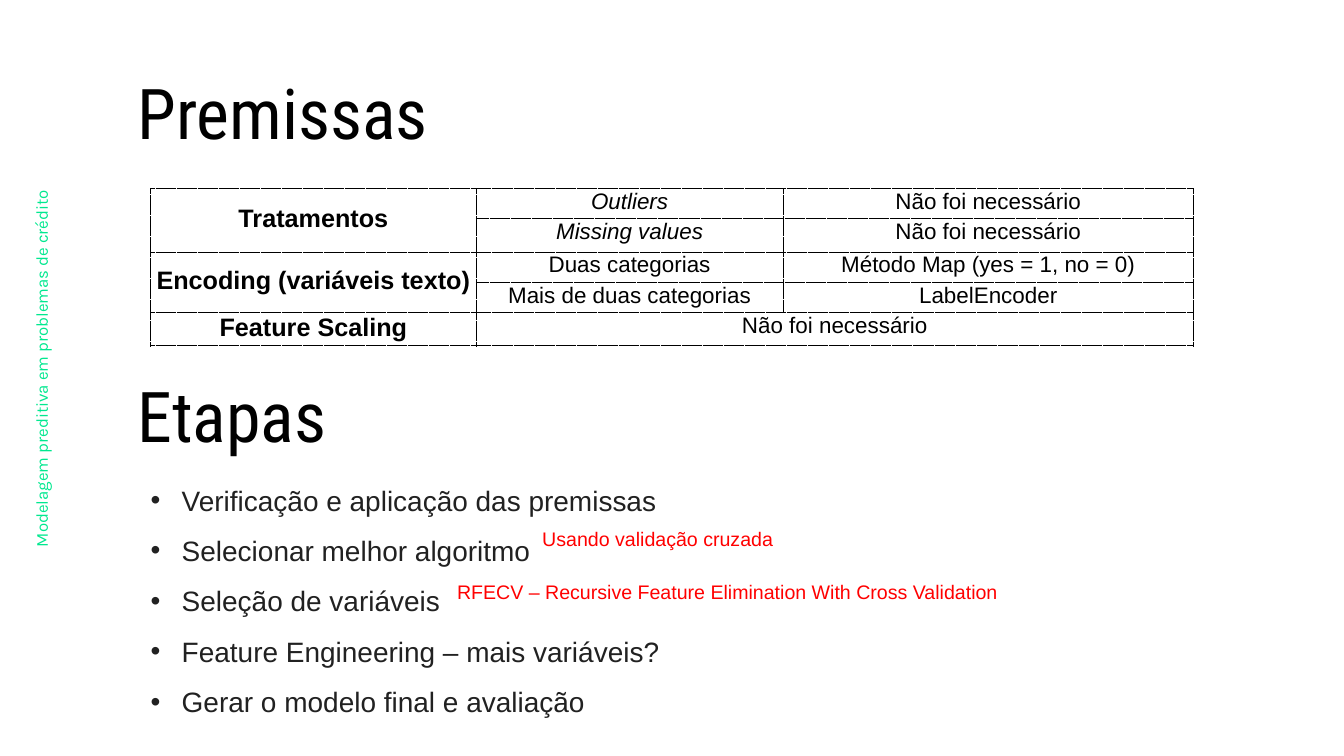
import pptx
import pptx.util
import pptx.dml.color
import pptx.enum.text
from dataclasses import dataclass
from lxml import etree
from pptx.util import Cm, Pt

ALIGN = pptx.enum.text.PP_ALIGN
ANCHOR = pptx.enum.text.MSO_ANCHOR
AUTOSIZE = pptx.enum.text.MSO_AUTO_SIZE
NS = "http://schemas.openxmlformats.org/drawingml/2006/main"


@dataclass(frozen=True)
class Theme:
    heading_font: str = "Roboto Condensed"
    body_font: str = "Arial"
    side_font: str = "Karla"
    black: str = "000000"
    body: str = "212121"
    note: str = "FF0000"
    side: str = "00E88F"
    heading_size: int = 100
    step_size: int = 40
    label_size: int = 36
    cell_size: int = 32
    note_size: int = 28
    side_size: int = 24


THEME = Theme()
TIGHT = {"line_spacing": 0.9, "space_before": Pt(20), "alignment": ALIGN.LEFT}
PLAIN = {"alignment": ALIGN.LEFT}
STEP = {"line_spacing": 1.5, "space_before": Pt(0), "alignment": ALIGN.LEFT}
CELL = {**TIGHT, "alignment": ALIGN.CENTER}

COLUMN_WIDTHS = (16.41, 15.47, 20.68)
ROW_HEIGHTS = (1.47, 1.66, 1.47, 1.47, 1.66)
PREMISES = [
    ("Tratamentos", "Outliers", "Não foi necessário"),
    ("", "Missing values", "Não foi necessário"),
    ("Encoding (variáveis texto)", "Duas categorias", "Método Map (yes = 1, no = 0)"),
    ("", "Mais de duas categorias", "LabelEncoder"),
    ("Feature Scaling", "Não foi necessário", ""),
]
MERGES = [((0, 0), (1, 0)), ((2, 0), (3, 0)), ((4, 1), (4, 2))]
ITALIC_TERMS = {"Outliers", "Missing values"}
STEPS = [
    "Verificação e aplicação das premissas",
    "Selecionar melhor algoritmo",
    "Seleção de variáveis",
    "Feature Engineering – mais variáveis?",
    "Gerar o modelo final e avaliação",
]
NOTES = [
    ("Usando validação cruzada", (27.18, 26.16, 12.52, 2.08)),
    ("RFECV – Recursive Feature Elimination With Cross Validation",
     (22.89, 28.83, 33.71, 2.08)),
]


def apply(target, values):
    for name, value in values.items():
        setattr(target, name, value)


def margins(size):
    return {f"margin_{side}": Cm(size) for side in ("left", "top", "right", "bottom")}


def place(shape, box):
    apply(shape, dict(zip(("left", "top", "width", "height"), map(Cm, box))))


def write(paragraph, text, layout, color, **font):
    apply(paragraph, layout)
    run = paragraph.add_run()
    run.text = text
    apply(run.font, font)
    run.font.color.rgb = pptx.dml.color.RGBColor.from_string(color)


def format_frame(frame, inset=0, anchor=ANCHOR.TOP, auto_size=AUTOSIZE.SHAPE_TO_FIT_TEXT):
    apply(frame, {"auto_size": auto_size, "word_wrap": True,
                  "vertical_anchor": anchor, **margins(inset)})


def fill_heading(heading, text, top):
    place(heading, (6.93, top, 53.8, 3.84))
    format_frame(heading.text_frame)
    write(heading.text_frame.paragraphs[0], text, TIGHT, THEME.black,
          name=THEME.heading_font, size=Pt(THEME.heading_size))


def add_label(slide, box):
    label = slide.shapes.add_textbox(*map(Cm, box))
    return label, label.text_frame


def add_side_title(slide, text):
    side_title, frame = add_label(slide, (-7.57, 16.99, 19.28, 1.88))
    side_title.rotation = 270
    format_frame(frame, anchor=ANCHOR.MIDDLE, auto_size=AUTOSIZE.NONE)
    write(frame.paragraphs[0], text, PLAIN, THEME.side,
          name=THEME.side_font, size=Pt(THEME.side_size))


def add_note(slide, text, box):
    _, frame = add_label(slide, box)
    format_frame(frame, inset=0.15, anchor=ANCHOR.MIDDLE)
    write(frame.paragraphs[0], text, TIGHT, THEME.note,
          name=THEME.body_font, size=Pt(THEME.note_size))


def draw_dotted_borders(cell):
    properties = cell._tc.get_or_add_tcPr()
    for position, side in enumerate(("lnL", "lnR", "lnT", "lnB")):
        line = etree.fromstring(
            f'<a:{side} xmlns:a="{NS}" w="{Pt(1)}"><a:solidFill>'
            f'<a:srgbClr val="{THEME.black}"/></a:solidFill>'
            f'<a:prstDash val="sysDot"/></a:{side}>')
        properties.insert(position, line)


def add_premises_table(slide):
    table = slide.shapes.add_table(
        len(PREMISES), len(COLUMN_WIDTHS), Cm(7.59), Cm(9.5),
        Cm(sum(COLUMN_WIDTHS)), Cm(sum(ROW_HEIGHTS))).table
    apply(table, {"first_row": False, "horz_banding": False})
    for column, width in zip(table.columns, COLUMN_WIDTHS):
        column.width = Cm(width)
    for row, height in zip(table.rows, ROW_HEIGHTS):
        row.height = Cm(height)
    for start, end in MERGES:
        table.cell(*start).merge(table.cell(*end))
    for row, texts in enumerate(PREMISES):
        for column, text in enumerate(texts):
            cell = table.cell(row, column)
            is_label = column == 0
            apply(cell, {"vertical_anchor": ANCHOR.MIDDLE if is_label else ANCHOR.TOP,
                         **margins(0.15)})
            cell.fill.background()
            draw_dotted_borders(cell)
            if text:
                size = THEME.label_size if is_label else THEME.cell_size
                write(cell.text_frame.paragraphs[0], text, CELL, THEME.black,
                      name=THEME.body_font, size=Pt(size), bold=is_label,
                      italic=text in ITALIC_TERMS)


def fill_steps(body):
    place(body, (7.59, 23.5, 46.66, 12.5))
    frame = body.text_frame
    format_frame(frame)
    for index, step in enumerate(STEPS):
        paragraph = frame.add_paragraph() if index else frame.paragraphs[0]
        write(paragraph, step, STEP, THEME.body,
              name=THEME.body_font, size=Pt(THEME.step_size))
        properties = paragraph._p.get_or_add_pPr()
        properties.set("marL", str(Cm(1.57)))
        properties.set("indent", str(-Cm(1.57)))


def main():
    deck = pptx.Presentation()
    apply(deck, {"slide_width": Cm(67.74), "slide_height": Cm(38.1)})
    slide = deck.slides.add_slide(deck.slide_layouts[1])
    fill_heading(slide.shapes.title, "Premissas", 3.99)
    add_side_title(slide, "Modelagem preditiva em problemas de crédito")
    add_premises_table(slide)
    steps_heading, _ = add_label(slide, (0, 0, 1, 1))
    fill_heading(steps_heading, "Etapas", 19.23)
    fill_steps(slide.placeholders[1])
    for text, box in NOTES:
        add_note(slide, text, box)
    deck.save("out.pptx")


if __name__ == "__main__":
    main()
